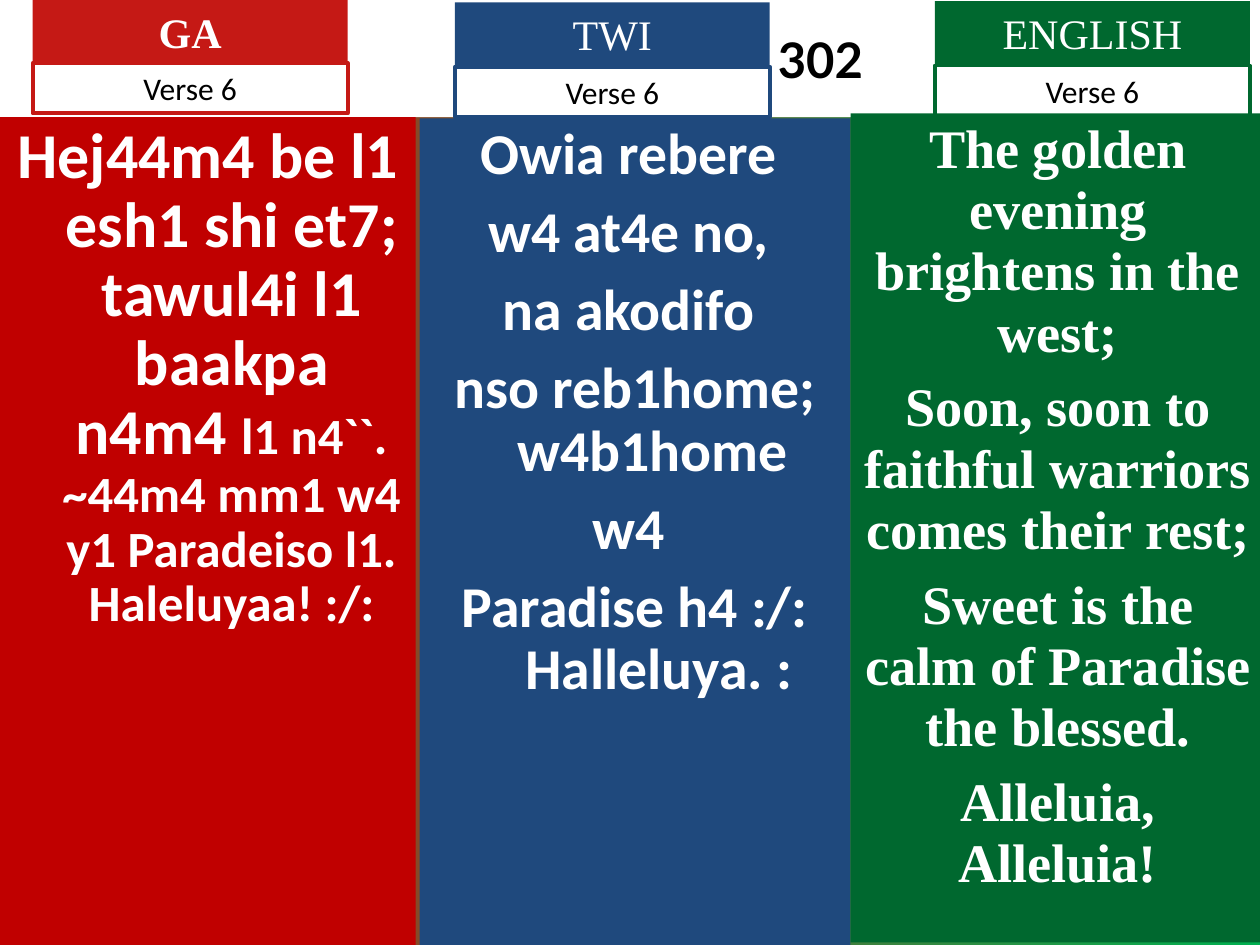
from pptx import Presentation
from pptx.dml.color import RGBColor
from pptx.enum.shapes import MSO_SHAPE
from pptx.enum.text import MSO_ANCHOR, PP_ALIGN
from pptx.util import Inches, Pt

RECT = MSO_SHAPE.RECTANGLE
CENTER = PP_ALIGN.CENTER
TOP, MIDDLE = MSO_ANCHOR.TOP, MSO_ANCHOR.MIDDLE

WIDTH, HEIGHT = 10, 7.5
WHITE, BLACK = "FFFFFF", "000000"
RED, BLUE, GREEN = "C51915", "1F497D", "00682F"
SERIF, SANS = "Times New Roman", "Calibri"
LABEL_WIDTH, NAME_HEIGHT, VERSE_HEIGHT = 2.5, 0.5, 0.4
HANGING = 0.38

# name, colour, left, top, top of verse box, bold
LABELS = [
    ("GA", RED, 0.26, 0, 0.5, True),
    ("TWI", BLUE, 3.61, 0.02, 0.53, False),
    ("ENGLISH", GREEN, 7.42, 0.01, 0.52, False),
]

GA_VERSE = [[
    ("Hej44m4 be l1 esh1 shi et7; tawul4i l1 baakpa n4m4 ", 36.5),
    ("l1 n4``. ~44m4 mm1 w4 y1 Paradeiso l1. Haleluyaa! :/:", 29),
]]
TWI_VERSE = [[(line, 33)] for line in (
    "Owia rebere ",
    "w4 at4e no, ",
    "na akodifo ",
    "nso reb1home; w4b1home ",
    "w4 ",
    "Paradise h4 :/: Halleluya. :",
)]
ENGLISH_VERSE = [[(line, 31)] for line in (
    "The golden evening brightens in the west;",
    "Soon, soon to faithful warriors comes their rest;",
    "Sweet is the calm of Paradise the blessed.",
    "Alleluia, Alleluia!",
)]


def rgb(value):
    return RGBColor.from_string(value)


def add_box(slide, box, fill=None, line=None, anchor=TOP):
    sp = slide.shapes.add_shape(RECT, *(Inches(v) for v in box))
    sp.shadow.inherit = False
    if fill:
        sp.fill.solid()
        sp.fill.fore_color.rgb = rgb(fill)
    else:
        sp.fill.background()
    if line:
        sp.line.color.rgb = rgb(line)
        sp.line.width = Pt(2.25)
    else:
        sp.line.fill.background()
    tf = sp.text_frame
    tf.word_wrap = True
    tf.vertical_anchor = anchor
    return tf


def add_run(p, text, size, font, color, bold=False):
    r = p.add_run()
    r.text = text
    r.font.size = Pt(size)
    r.font.name = font
    r.font.bold = bold
    r.font.color.rgb = rgb(color)


def add_line(tf, *run):
    p = tf.paragraphs[0]
    p.alignment = CENTER
    add_run(p, *run)


def add_verse(slide, box, fill, paragraphs, font, spacing, gap, hanging=0):
    tf = add_box(slide, box, fill)
    for i, runs in enumerate(paragraphs):
        p = tf.add_paragraph() if i else tf.paragraphs[0]
        p.alignment = CENTER
        p.line_spacing = spacing
        p.space_before = Pt(gap if i else 0)
        if hanging:
            pPr = p._p.get_or_add_pPr()
            pPr.set("marL", str(Inches(hanging)))
            pPr.set("indent", str(-Inches(hanging)))
        for text, size in runs:
            add_run(p, text, size, font, WHITE, True)


def add_label(slide, name, color, left, top, verse_top, bold):
    tf = add_box(slide, (left, top, LABEL_WIDTH, NAME_HEIGHT), color)
    add_line(tf, name, 24, SERIF, WHITE, bold)
    tf = add_box(slide, (left, verse_top, LABEL_WIDTH, VERSE_HEIGHT), line=color)
    add_line(tf, "Verse 6", 18, SANS, BLACK)


def set_background(slide, start, end):
    fill = slide.background.fill
    fill.gradient()
    fill.gradient_angle = 0
    for stop, color in zip(fill.gradient_stops, (start, end)):
        stop.color.rgb = rgb(color)


def add_title(slide):
    tf = add_box(slide, (0, 0, WIDTH, 0.93), WHITE, anchor=MIDDLE)
    tf.margin_left, tf.margin_right = Inches(3.12), Inches(0.1)
    add_line(tf, "302", 28, "Lato", BLACK, True)


def main():
    prs = Presentation()
    prs.slide_width, prs.slide_height = Inches(WIDTH), Inches(HEIGHT)
    slide = prs.slides.add_slide(prs.slide_layouts[6])
    set_background(slide, RED, "00B050")
    add_title(slide)
    add_verse(slide, (0, 0.93, 3.3, 6.57), "C00000", GA_VERSE, SANS, 0.9, 8, HANGING)
    add_verse(slide, (3.33, 0.94, 3.42, 6.56), BLUE, TWI_VERSE, SANS, 0.9, 9, HANGING)
    add_verse(slide, (6.75, 0.9, 3.29, 6.58), GREEN, ENGLISH_VERSE, SERIF, 0.94, 7.7)
    for label in LABELS:
        add_label(slide, *label)
    prs.save("out.pptx")


if __name__ == "__main__":
    main()
